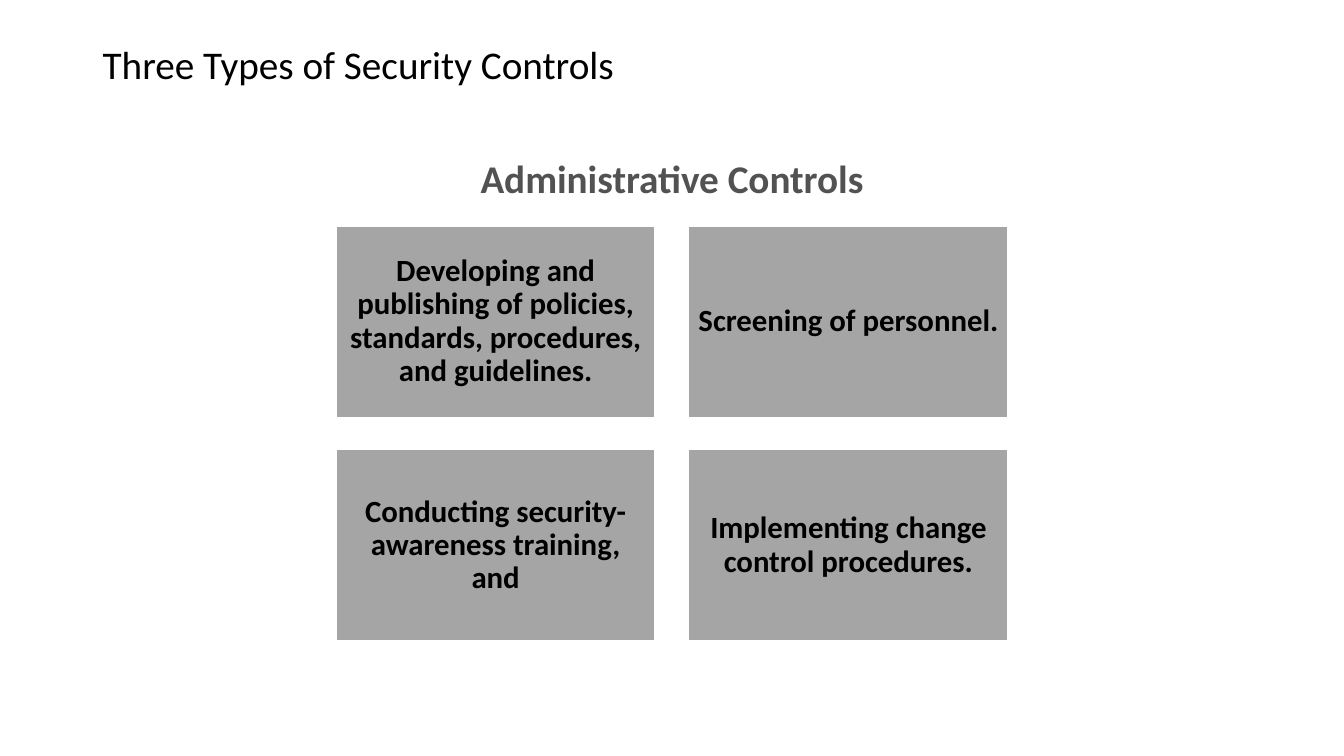
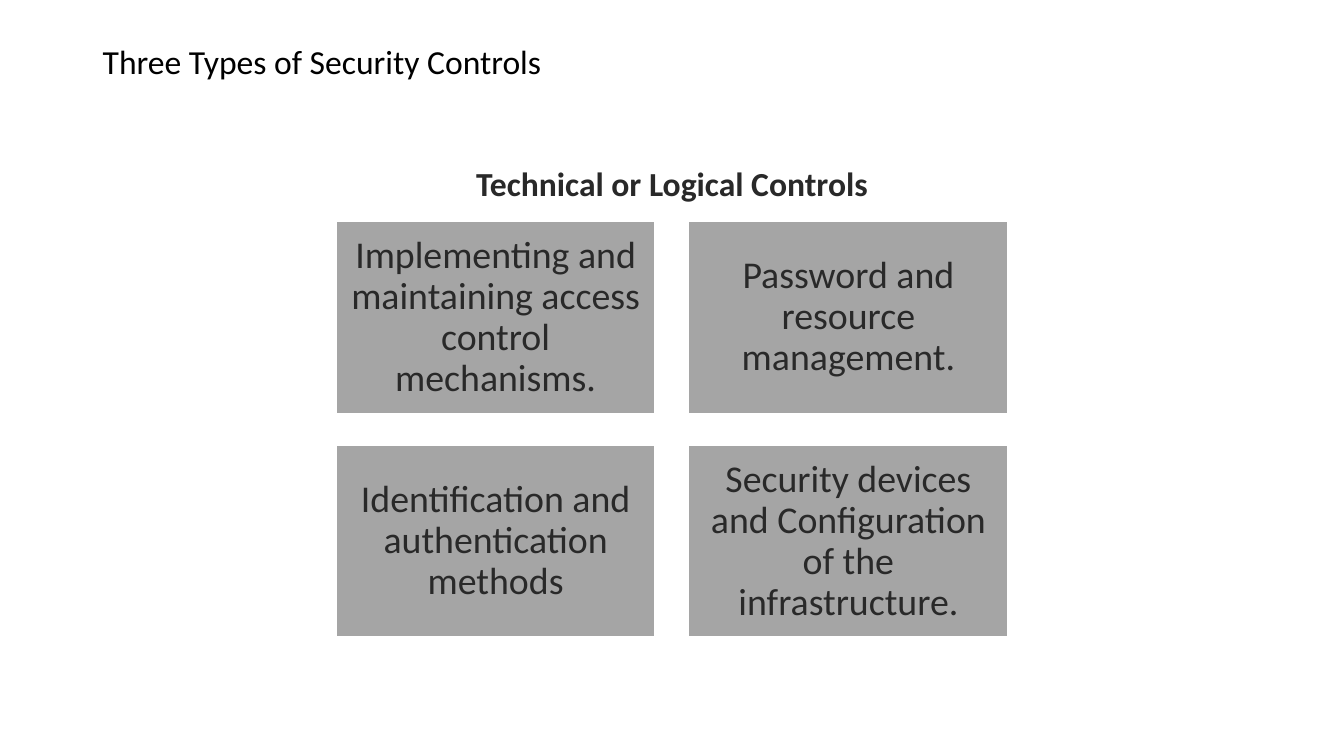
from pptx import Presentation
from pptx.dml.color import RGBColor as Rgb
from pptx.enum.shapes import MSO_SHAPE as Geo
from pptx.enum.text import MSO_ANCHOR as Anchor, PP_ALIGN as Align
from pptx.util import Inches, Pt

WIDE, HIGH = Inches(13.33), Inches(7.5)
LEFT, SPAN, GAP = WIDE / 4, WIDE / 2, WIDE / 40
BOX_W = (SPAN - GAP) / 2
BOX_H = BOX_W * 0.6
ROW = WIDE / 6
FONT = "Calibri"
TITLE = "Three Types of Security Controls"
HUES = {"ink": "000000", "gray": "525252", "dark": "292929",
        "box": "A5A5A5", "edge": "FFFFFF"}

SLIDES = [
    {"size": 28, "head": "Administrative Controls", "hue": "gray",
     "head_y": 1.53, "head_h": 0.55, "grid_y": 2.24,
     "cell": {"size": 22, "hue": "ink", "bold": True, "inset": 0.09},
     "items": ["Developing and publishing of policies, standards, procedures, "
               "and guidelines.",
               "Screening of personnel.",
               "Conducting security-awareness training, and",
               "Implementing change control procedures."]},
    {"size": 24, "head": "Technical or Logical Controls", "hue": "dark",
     "head_y": 1.61, "head_h": 0.41, "grid_y": 2.2,
     "cell": {"size": 27, "hue": "dark", "bold": False, "inset": 0.11},
     "items": ["Implementing and maintaining access control mechanisms.",
               "Password and resource management.",
               "Identification and authentication methods",
               "Security devices and Configuration of the infrastructure."]},
]


def color(name):
    """Look up a palette colour."""
    return Rgb.from_string(HUES[name])


def write(shape, text, size, hue, bold=False, align=Align.CENTER):
    """Put one styled paragraph into a shape."""
    frame = shape.text_frame
    frame.word_wrap = True
    para = frame.paragraphs[0]
    para.text = text
    para.alignment = align
    para.line_spacing = 0.9
    font = para.font
    font.name, font.size, font.bold = FONT, Pt(size), bold
    font.color.rgb = color(hue)


def label(slide, place, text, size, hue, **style):
    """Add a text box at the given left, top, width and height."""
    box = slide.shapes.add_textbox(*map(int, place))
    write(box, text, size, hue, **style)


def card(slide, left, top, text, inset, **style):
    """Add one gray rectangle with centred text."""
    place = map(int, (left, top, BOX_W, BOX_H))
    box = slide.shapes.add_shape(Geo.RECTANGLE, *place)
    box.shadow.inherit = False
    box.fill.solid()
    box.fill.fore_color.rgb = color("box")
    box.line.color.rgb = color("edge")
    box.line.width = Pt(1)
    frame = box.text_frame
    frame.vertical_anchor = Anchor.MIDDLE
    frame.margin_left = frame.margin_right = Inches(inset)
    frame.margin_top = frame.margin_bottom = Inches(inset)
    write(box, text, **style)


def grid(slide, top, items, cell):
    """Lay the cards out in two columns."""
    for spot, text in enumerate(items):
        row, col = divmod(spot, 2)
        card(slide, LEFT + col * (BOX_W + GAP), top + row * ROW, text, **cell)


def build(deck, data):
    """Add one slide with title, heading and cards."""
    slide = deck.slides.add_slide(deck.slide_layouts[6])
    label(slide, (Inches(0.92), Inches(0.4), Inches(11.5), Inches(1.45)),
          TITLE, data["size"], "ink", align=Align.LEFT)
    label(slide, (LEFT, Inches(data["head_y"]), SPAN, Inches(data["head_h"])),
          data["head"], data["size"], data["hue"], bold=True)
    grid(slide, Inches(data["grid_y"]), data["items"], data["cell"])


def main():
    """Build and save the deck."""
    deck = Presentation()
    deck.slide_width, deck.slide_height = WIDE, HIGH
    for data in SLIDES:
        build(deck, data)
    deck.save("out.pptx")


if __name__ == "__main__":
    main()
